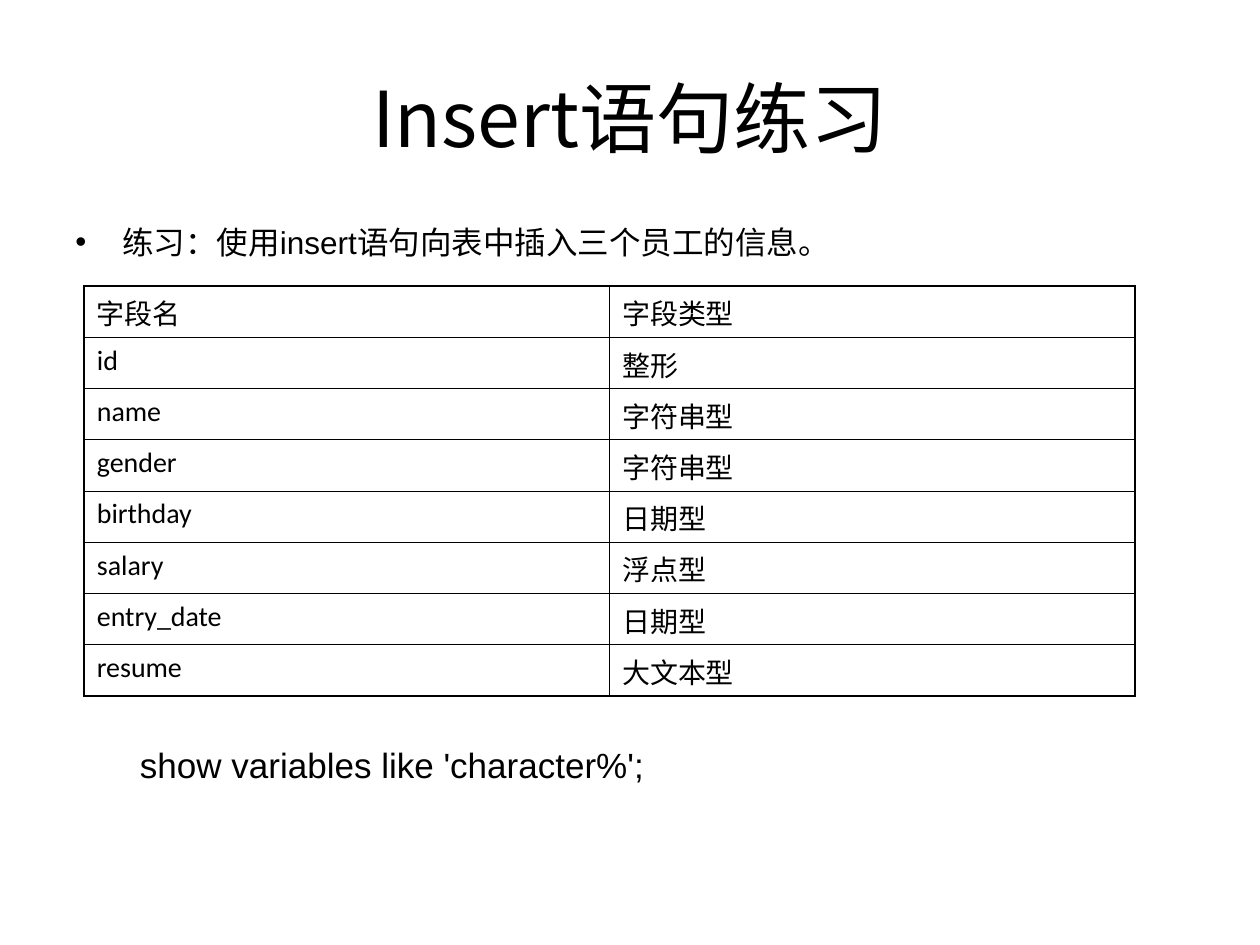
"""Builds the slide with the insert statement exercise and its field table."""
import pptx
import pptx.dml.color
import pptx.enum.text
import pptx.oxml
import pptx.oxml.ns
import pptx.util
import lxml.etree

Cm, Pt = pptx.util.Cm, pptx.util.Pt
ALIGN, ANCHOR = pptx.enum.text.PP_ALIGN, pptx.enum.text.MSO_ANCHOR
qn = pptx.oxml.ns.qn

TITLE = "Insert语句练习"
EXERCISE = "练习：使用insert语句向表中插入三个员工的信息。"
STATEMENT = "show variables like 'character%';"
FIELDS = [
    ("字段名", "字段类型"),
    ("id", "整形"),
    ("name", "字符串型"),
    ("gender", "字符串型"),
    ("birthday", "日期型"),
    ("salary", "浮点型"),
    ("entry_date", "日期型"),
    ("resume", "大文本型"),
]
COLOURS = {"text": "000000", "border": "000000"}
CJK_FONT = "Noto Sans CJK SC"
OUTER, INNER = 1.08, 0.45
TABLE_HEIGHT = 8.26


def write(frame, text, *, size, font, align=ALIGN.LEFT, anchor=ANCHOR.TOP,
          bullet=None, hanging=0.95, line_spacing=None):
    frame.word_wrap = True
    frame.vertical_anchor = anchor
    paragraph = frame.paragraphs[0]
    paragraph.alignment = align
    if line_spacing:
        paragraph.line_spacing = line_spacing
    if bullet:
        properties = paragraph._p.get_or_add_pPr()
        properties.set("marL", str(Cm(hanging)))
        properties.set("indent", str(-Cm(hanging)))
        lxml.etree.SubElement(properties, qn("a:buFont")).set("typeface", font)
        lxml.etree.SubElement(properties, qn("a:buChar")).set("char", bullet)
    run = paragraph.add_run()
    run.text = text
    run.font.size = Pt(size)
    run.font.bold = False
    run.font.color.rgb = pptx.dml.color.RGBColor.from_string(COLOURS["text"])
    run.font.name = font
    east_asian = lxml.etree.SubElement(run._r.get_or_add_rPr(), qn("a:ea"))
    east_asian.set("typeface", CJK_FONT)


def add_text(slide, place, text, **style):
    box = slide.shapes.add_textbox(*map(Cm, place))
    write(box.text_frame, text, **style)


def set_borders(cell, widths):
    properties = cell._tc.get_or_add_tcPr()
    for position, (side, width) in enumerate(widths.items()):
        line = pptx.oxml.parse_xml(
            f'<a:ln{side} {pptx.oxml.ns.nsdecls("a")} w="{Pt(width)}">'
            f'<a:solidFill><a:srgbClr val="{COLOURS["border"]}"/></a:solidFill>'
            f'</a:ln{side}>')
        properties.insert(position, line)


def add_fields(slide):
    last_row, last_column = len(FIELDS) - 1, len(FIELDS[0]) - 1
    table = slide.shapes.add_table(
        last_row + 1, last_column + 1,
        Cm(1.7), Cm(5.77), Cm(21.18), Cm(TABLE_HEIGHT)).table
    table.first_row = table.horz_banding = False
    for r, field in enumerate(FIELDS):
        table.rows[r].height = Cm(TABLE_HEIGHT / len(FIELDS))
        for c, text in enumerate(field):
            cell = table.cell(r, c)
            cell.fill.background()
            write(cell.text_frame, text, size=16, font="Calibri")
            set_borders(cell, {
                "L": OUTER if c == 0 else INNER,
                "R": OUTER if c == last_column else INNER,
                "T": OUTER if r == 0 else INNER,
                "B": OUTER if r == last_row else INNER,
            })


def main():
    deck = pptx.Presentation()
    deck.slide_width, deck.slide_height = Cm(25.4), Cm(19.05)
    slide = deck.slides.add_slide(deck.slide_layouts[6])
    add_text(slide, (1.27, 0.76, 22.86, 3.18), TITLE, size=44, font=CJK_FONT,
             align=ALIGN.CENTER, anchor=ANCHOR.MIDDLE)
    add_text(slide, (1.27, 4.45, 22.68, 1.04), EXERCISE, size=18, font="Arial",
             bullet="•", line_spacing=0.9)
    add_fields(slide)
    add_text(slide, (2.57, 14.86, 19.53, 1.12), STATEMENT, size=20, font="Arial")
    deck.save("out.pptx")


if __name__ == "__main__":
    main()
